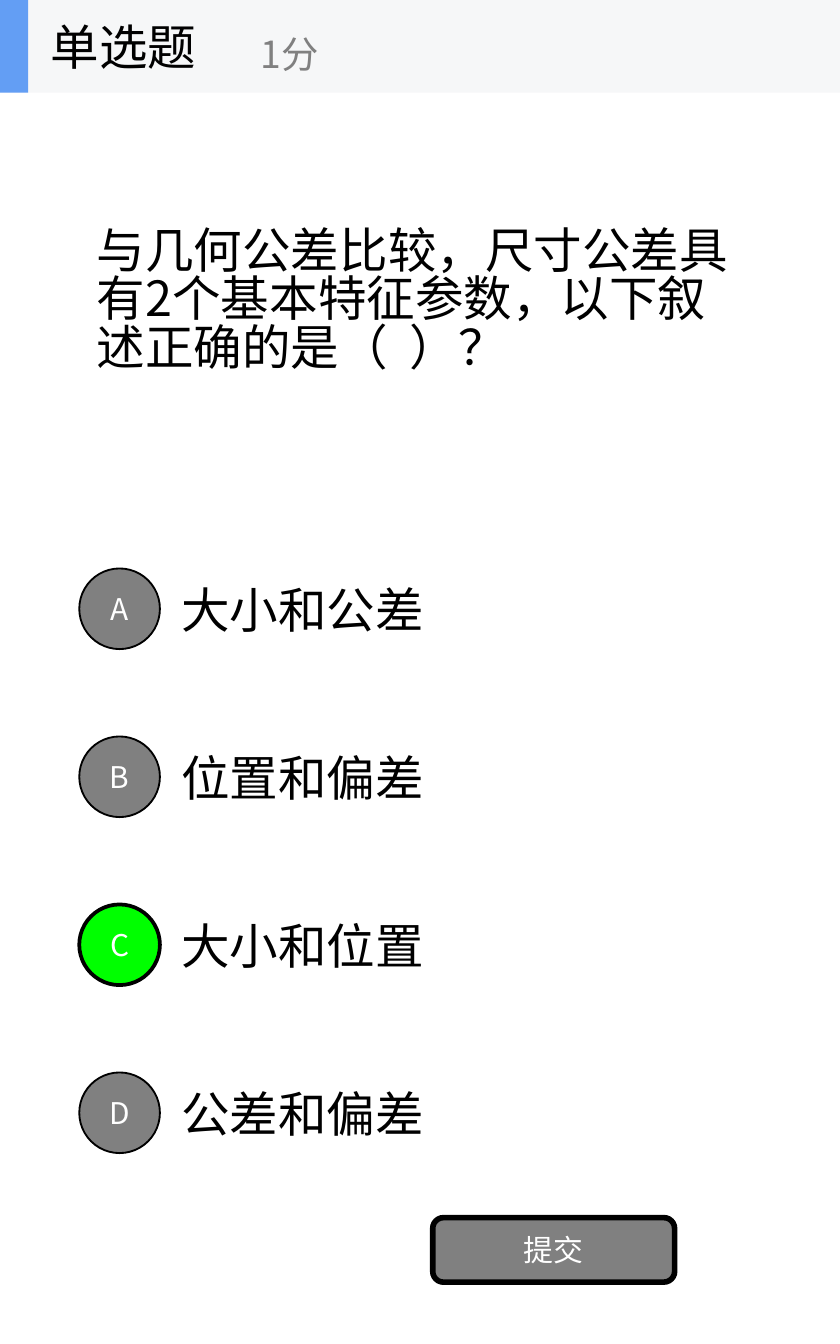
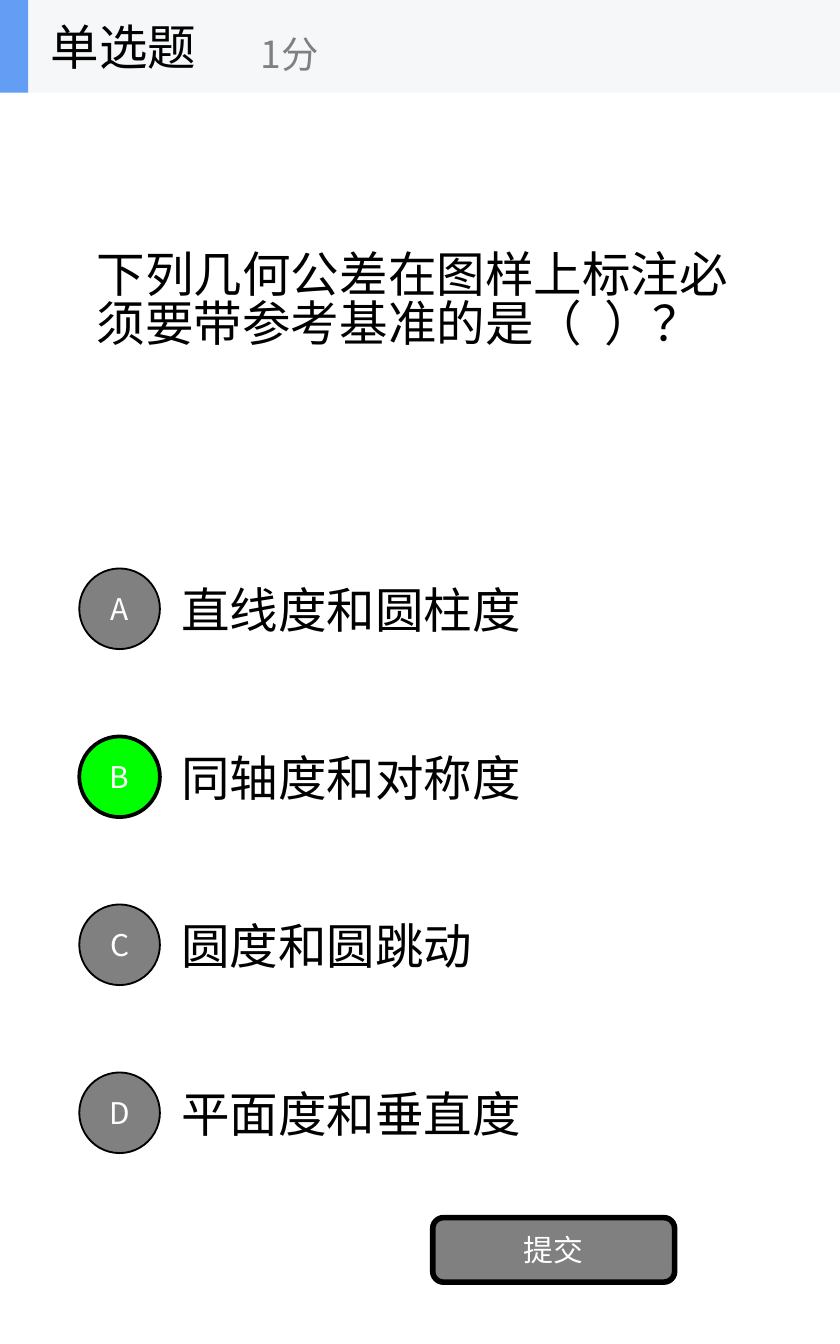
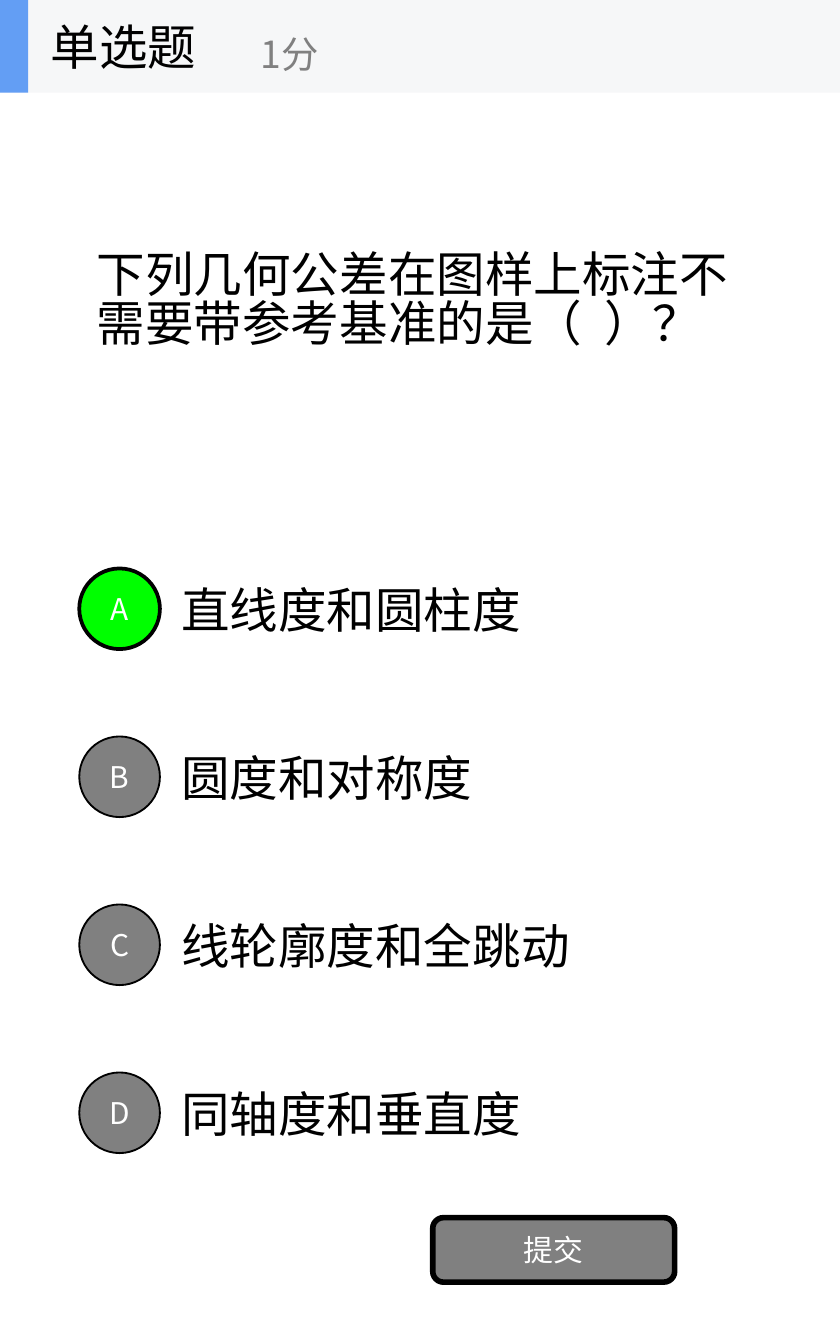
from lxml.etree import SubElement
from pptx import Presentation
from pptx.dml.color import RGBColor
from pptx.enum.shapes import MSO_SHAPE as Shape
from pptx.enum.text import MSO_ANCHOR as Anchor, MSO_AUTO_SIZE as Fit, PP_ALIGN as Align
from pptx.oxml.ns import qn
from pptx.util import Inches, Pt

FONT = "Noto Sans CJK SC"
BLACK, WHITE, GRAY = "000000", "FFFFFF", "808080"
GREEN, BLUE, PALE = "00FF00", "639EF4", "F6F7F8"
WIDTH, HEIGHT, BAND = 6.25, 10, 0.69
TOP, STEP = 4.06, 1.25  # first answer row and row pitch
ROW, DOT = 0.94, 0.6  # row height and circle size

# Question, four answers, letter of the right answer
QUIZ = [
    ("与几何公差比较，尺寸公差具有2个基本特征参数，以下叙述正确的是（  ）？",
     ["大小和公差", "位置和偏差", "大小和位置", "公差和偏差"], "C"),
    ("下列几何公差在图样上标注必须要带参考基准的是（  ）？",
     ["直线度和圆柱度", "同轴度和对称度", "圆度和圆跳动", "平面度和垂直度"], "B"),
    ("下列几何公差在图样上标注不需要带参考基准的是（  ）？",
     ["直线度和圆柱度", "圆度和对称度", "线轮廓度和全跳动", "同轴度和垂直度"], "A"),
]


def color(code):
    return RGBColor.from_string(code)


def box(at):
    return [Inches(v) for v in at]


def write(shape, text, size=26, ink=BLACK, align=Align.LEFT, pitch=None):
    """Fill a shape with one formatted paragraph."""
    frame = shape.text_frame
    frame.auto_size = Fit.NONE
    frame.word_wrap = True
    frame.vertical_anchor = Anchor.MIDDLE
    para = frame.paragraphs[0]
    para.alignment = align
    if pitch:
        para.line_spacing = pitch
    run = para.add_run()
    run.text = text
    run.font.size = Pt(size)
    run.font.name = FONT
    run.font.color.rgb = color(ink)
    SubElement(run.font._element, qn("a:ea"), typeface=FONT)


def label(shapes, at, text, **style):
    write(shapes.add_textbox(*box(at)), text, **style)


def block(shapes, kind, at, fill, line=0):
    shape = shapes.add_shape(kind, *box(at))
    shape.shadow.inherit = False
    shape.fill.solid()
    shape.fill.fore_color.rgb = color(fill)
    if line:
        shape.line.color.rgb = color(BLACK)
        shape.line.width = Pt(line)
    else:
        shape.line.fill.background()
    return shape


def button(shapes, kind, at, text, fill=GRAY, line=1):
    shape = block(shapes, kind, at, fill, line)
    write(shape, text, size=16, ink=WHITE, align=Align.CENTER)


def header(slide):
    shapes = slide.shapes.add_group_shape().shapes
    block(shapes, Shape.RECTANGLE, (0, 0, WIDTH, BAND), PALE)
    block(shapes, Shape.RECTANGLE, (0, 0, 0.21, BAND), BLUE)
    label(shapes, (0.28, 0, 2.08, BAND), "单选题")
    label(shapes, (1.84, 0.12, 2.5, 0.56), "1分", size=20, ink=GRAY)


def question(slide, text):
    title = slide.shapes.title
    title.left, title.top, title.width, title.height = box((0.62, BAND, 5, 3.12))
    write(title, text, pitch=0.83)


def answers(slide, items, right):
    for row, text in enumerate(items):
        label(slide.shapes, (1.25, TOP + row * STEP, 4.38, ROW), text)
    for row, letter in enumerate("ABCD"):
        top = TOP + row * STEP + (ROW - DOT) / 2
        mark = {"fill": GREEN, "line": 2} if letter == right else {}
        button(slide.shapes, Shape.OVAL, (0.59, top, DOT, DOT), letter, **mark)


def main():
    deck = Presentation()
    deck.slide_width, deck.slide_height = box((WIDTH, HEIGHT))
    for text, items, right in QUIZ:
        slide = deck.slides.add_slide(deck.slide_layouts[5])
        question(slide, text)
        answers(slide, items, right)
        button(slide.shapes, Shape.ROUNDED_RECTANGLE, (3.22, 9.06, 1.8, 0.48), "提交", line=3)
        header(slide)
    deck.save("out.pptx")


if __name__ == "__main__":
    main()
